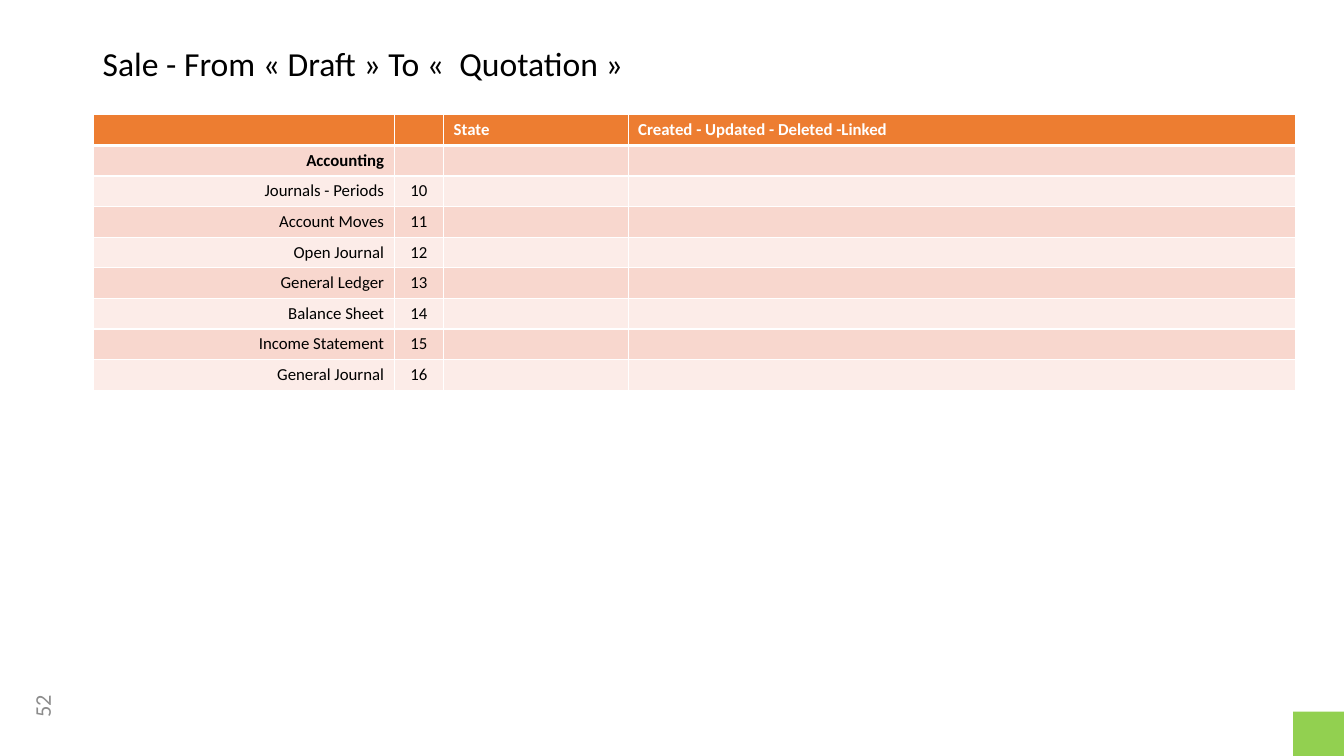
"""Build the slide on a sale going from draft to quotation."""
from dataclasses import dataclass

from lxml import etree
from pptx import Presentation
from pptx.dml.color import RGBColor
from pptx.enum.shapes import MSO_SHAPE
from pptx.enum.text import MSO_ANCHOR, PP_ALIGN
from pptx.oxml.ns import qn
from pptx.util import Pt

LEFT, MID, RIGHT = PP_ALIGN.LEFT, PP_ALIGN.CENTER, PP_ALIGN.RIGHT
MIDDLE = MSO_ANCHOR.MIDDLE
RECT = MSO_SHAPE.RECTANGLE
TITLE_ONLY = 5


@dataclass(frozen=True)
class Theme:
    """Colours, font and type sizes of the slide."""
    font: str = "Calibri"
    ink: str = "000000"
    white: str = "FFFFFF"
    grey: str = "8C8C8C"
    green: str = "92D050"
    head: str = "ED7D31"
    bands: tuple = ("F8D7CE", "FCECE8")
    title: int = 24
    page: int = 16
    body: int = 12


THEME = Theme()
TITLE = "Sale - From «\u00a0Draft\u00a0» To «\u00a0 Quotation »".replace("\\u00a0", " ")
HEADS = ("", "", "State", "Created - Updated - Deleted -Linked")
GROUP = "Accounting"
ITEMS = ("Journals - Periods", "Account Moves", "Open Journal", "General Ledger",
         "Balance Sheet", "Income Statement", "General Journal")
FIRST = 10
WIDTHS = (214.6, 35.3, 131.8, 476.6)
ALIGNS = (RIGHT, MID, LEFT, LEFT)


def style(para, size, color, align=LEFT, bold=False):
    """Set the font and alignment of a paragraph."""
    para.alignment = align
    font = para.font
    font.name, font.size, font.bold = THEME.font, Pt(size), bold
    font.color.rgb = RGBColor.from_string(color)


def edge(cell, side, width):
    """Draw one white border of a cell."""
    props = cell._tc.get_or_add_tcPr()
    line = etree.SubElement(props, qn(f"a:ln{side}"), w=str(Pt(width)))
    fill = etree.SubElement(line, qn("a:solidFill"))
    etree.SubElement(fill, qn("a:srgbClr"), val=THEME.white)


def fill_cell(cell, text, row, align):
    """Write and colour one cell of the table."""
    head = row == 0
    for side in "LRTB":
        thick = (head and side == "B") or (row == 1 and side == "T")
        edge(cell, side, 3 if thick else 1)
    cell.fill.solid()
    shade = THEME.head if head else THEME.bands[(row - 1) % 2]
    cell.fill.fore_color.rgb = RGBColor.from_string(shade)
    cell.text = text
    para = cell.text_frame.paragraphs[0]
    style(para, THEME.body, THEME.white if head else THEME.ink,
          LEFT if head else align, row < 2)
    if not text:
        etree.SubElement(para._p, qn("a:endParaRPr"), sz=str(THEME.body * 100))


def add_title(slide, x, y, w, h):
    """Place the title in its box."""
    shape = slide.shapes.title
    shape.left, shape.top, shape.width, shape.height = map(Pt, (x, y, w, h))
    frame = shape.text_frame
    frame.text, frame.vertical_anchor = TITLE, MIDDLE
    para = frame.paragraphs[0]
    para.line_spacing = 0.9
    style(para, THEME.title, THEME.ink)


def add_grid(slide, x, y, w, h):
    """Place the table of accounting steps in its box."""
    rows = [HEADS, (GROUP, "", "", "")]
    rows += [(item, str(num), "", "") for num, item in enumerate(ITEMS, FIRST)]
    box = map(Pt, (x, y, w, h))
    table = slide.shapes.add_table(len(rows), len(WIDTHS), *box).table
    for col, width in zip(table.columns, WIDTHS):
        col.width = Pt(width)
    for r, texts in enumerate(rows):
        table.rows[r].height = Pt(h / len(rows))
        for c, text in enumerate(texts):
            fill_cell(table.cell(r, c), text, r, ALIGNS[c])


def add_page(slide, x, y, w, h):
    """Place the upright page number in its box."""
    shape = slide.shapes.add_textbox(*map(Pt, (x, y, w, h)))
    shape.rotation = 270
    frame = shape.text_frame
    frame.word_wrap, frame.vertical_anchor = True, MIDDLE
    frame.text = "52"
    style(frame.paragraphs[0], THEME.page, THEME.grey, MID)


def add_corner(slide, x, y, w, h):
    """Place the green corner block."""
    shape = slide.shapes.add_shape(RECT, *map(Pt, (x, y, w, h)))
    shape.shadow.inherit = False
    shape.fill.solid()
    shape.fill.fore_color.rgb = RGBColor.from_string(THEME.green)
    shape.line.fill.background()


def main():
    """Build and save the slide."""
    deck = Presentation()
    deck.slide_width, deck.slide_height = Pt(960), Pt(540)
    slide = deck.slides.add_slide(deck.slide_layouts[TITLE_ONLY])
    add_page(slide, 3, 490.3, 54, 28.8)
    add_corner(slide, 923.6, 508.3, 36.4, 31.7)
    add_title(slide, 66.2, 28.8, 828, 36.7)
    add_grid(slide, 67, 82, sum(WIDTHS), 196.7)
    deck.save("out.pptx")


if __name__ == "__main__":
    main()
